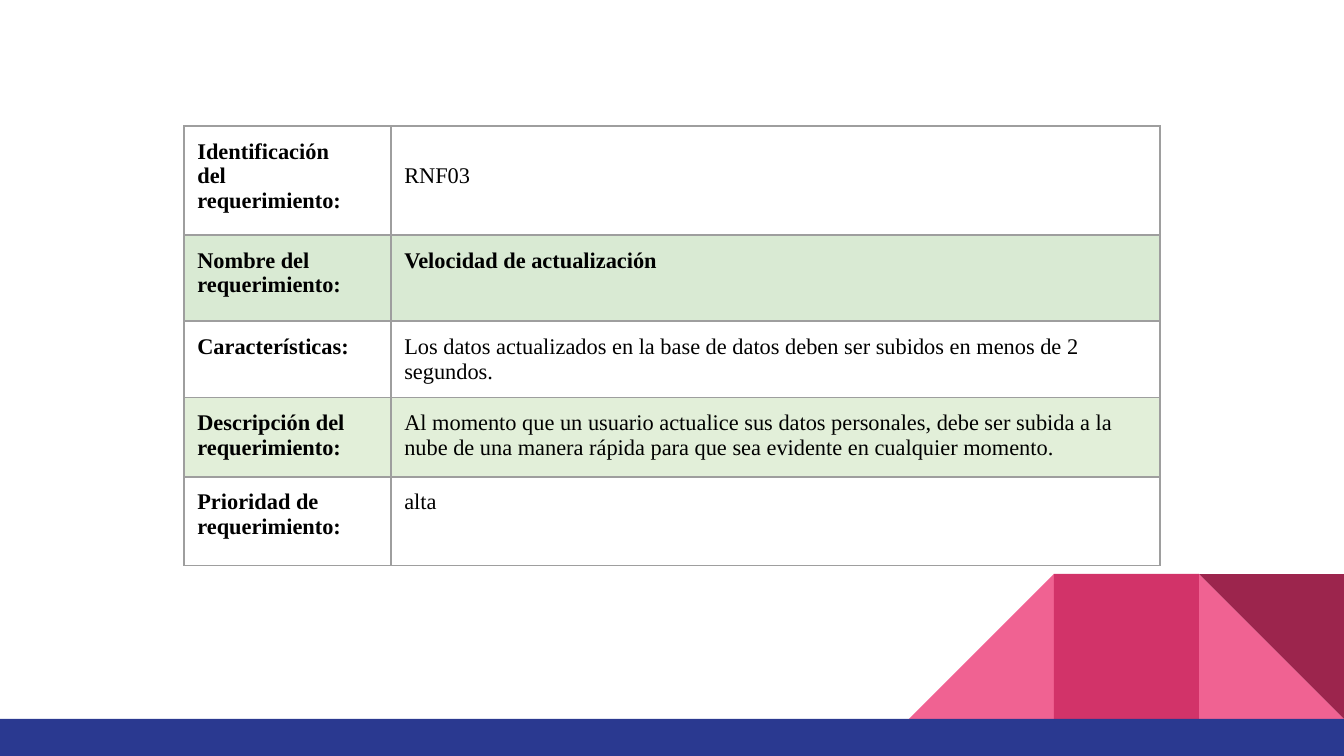
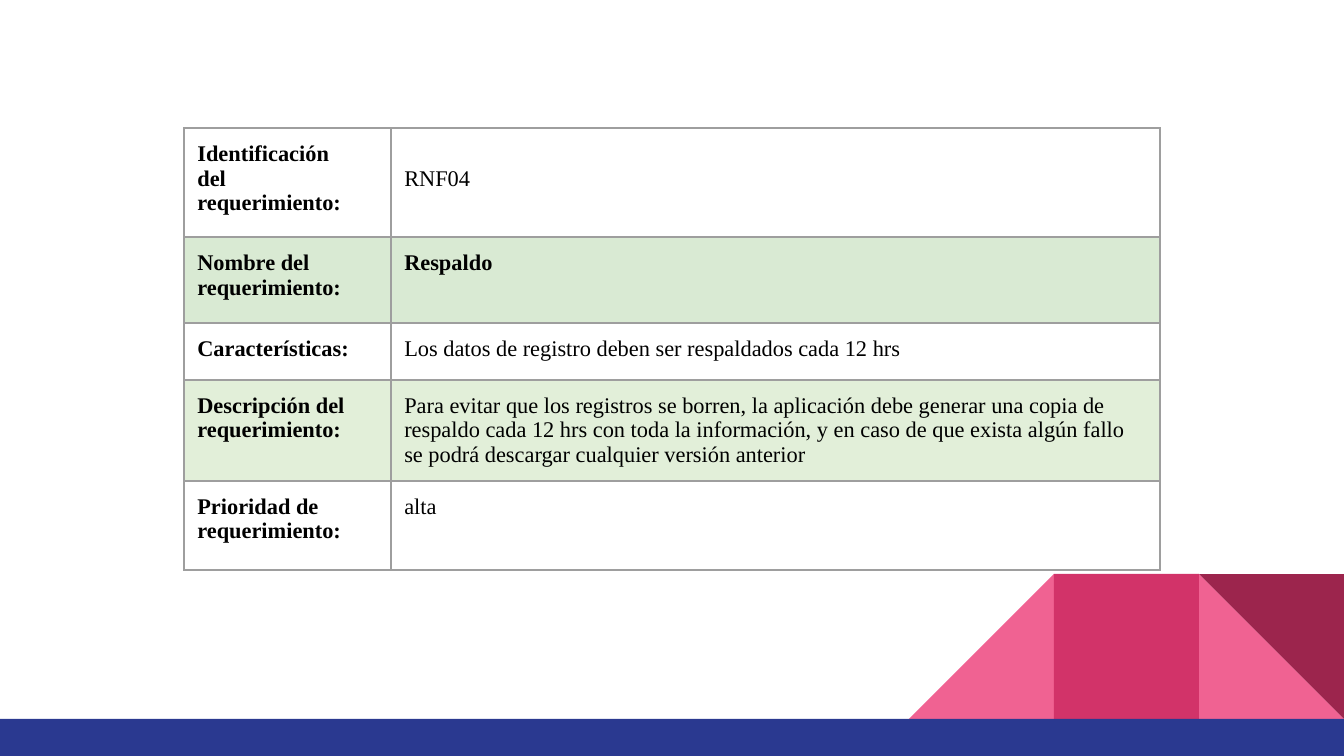
from dataclasses import dataclass

import pptx
import pptx.dml.color
import pptx.enum.shapes
import pptx.oxml
import pptx.oxml.ns
import pptx.presentation
import pptx.slide
import pptx.table
import pptx.util

Cm = pptx.util.Cm
Preset = pptx.enum.shapes.MSO_SHAPE

SLIDE_WIDTH, SLIDE_HEIGHT = 25.4, 14.29
BAND_HEIGHT = 0.7
TILE = 2.74
TABLE_LEFT = 3.48
COLUMN_WIDTHS = (3.91, 14.53)
PADDING = 0.25
IDENTIFIER_TOP = 0.72

PINK, CRIMSON, WINE, NAVY = "F06292", "D23369", "9C254D", "2A3990"
BLACK, WHITE, GREY = "000000", "FFFFFF", "9E9E9E"
NAME_GREEN, DESCRIPTION_GREEN = "D9EAD3", "E2EFD9"

CELL_FORMAT = {f"margin_{side}": Cm(PADDING) for side in ("left", "right", "top", "bottom")}
FONT_FORMAT = {"name": "Times New Roman", "size": pptx.util.Pt(12)}
TABLE_FORMAT = {"first_row": False, "horz_banding": False}


@dataclass(frozen=True)
class Tile:
    steps_from_right: int
    preset: Preset
    color: str
    rotation: float = 0
    mirrored: bool = False


@dataclass(frozen=True)
class Field:
    label: str
    height: float
    fill: str | None = None
    bold_value: bool = False
    value_top: float = PADDING


@dataclass(frozen=True)
class Requirement:
    top: float
    values: tuple[str, ...]


TILES = (
    Tile(1, Preset.RIGHT_TRIANGLE, PINK),
    Tile(3, Preset.RIGHT_TRIANGLE, PINK, mirrored=True),
    Tile(2, Preset.RECTANGLE, CRIMSON),
    Tile(1, Preset.RIGHT_TRIANGLE, WINE, rotation=180),
)

FIELDS = (
    Field("Identificación\ndel\nrequerimiento:", 2.06, value_top=IDENTIFIER_TOP),
    Field("Nombre del\nrequerimiento:", 1.63, NAME_GREEN, bold_value=True),
    Field("Características:", 1.07),
    Field("Descripción del\nrequerimiento:", 1.5, DESCRIPTION_GREEN),
    Field("Prioridad de\nrequerimiento:", 1.68, WHITE),
)

REQUIREMENTS = (
    Requirement(2.38, (
        "RNF03",
        "Velocidad de actualización",
        "Los datos actualizados en la base de datos deben ser subidos en menos de 2 segundos.",
        "Al momento que un usuario actualice sus datos personales, debe ser subida a la nube "
        "de una manera rápida para que sea evidente en cualquier momento.",
        "alta",
    )),
    Requirement(2.42, (
        "RNF04",
        "Respaldo",
        "Los datos de registro deben ser respaldados cada 12 hrs",
        "Para evitar que los registros se borren, la aplicación debe generar una copia de "
        "respaldo cada 12 hrs con toda la información, y en caso de que exista algún fallo "
        "se podrá descargar cualquier versión anterior",
        "alta",
    )),
)


def rgb(color: str) -> pptx.dml.color.RGBColor:
    return pptx.dml.color.RGBColor.from_string(color)


def apply_format(target: object, values: dict) -> None:
    for attribute, value in values.items():
        setattr(target, attribute, value)


def paint(fill, color: str | None) -> None:
    if color is None:
        fill.background()
    else:
        fill.solid()
        fill.fore_color.rgb = rgb(color)


def add_block(slide: pptx.slide.Slide, preset: Preset, left: float, top: float,
              width: float, height: float, color: str):
    block = slide.shapes.add_shape(preset, Cm(left), Cm(top), Cm(width), Cm(height))
    block.shadow.inherit = False
    paint(block.fill, color)
    block.line.fill.background()
    return block


def draw_footer(slide: pptx.slide.Slide) -> None:
    band_top = SLIDE_HEIGHT - BAND_HEIGHT
    for tile in TILES:
        block = add_block(slide, tile.preset, SLIDE_WIDTH - tile.steps_from_right * TILE,
                          band_top - TILE, TILE, TILE, tile.color)
        block.rotation = tile.rotation
        if tile.mirrored:
            block.element.spPr.find(pptx.oxml.ns.qn("a:xfrm")).set("flipH", "1")
    add_block(slide, Preset.RECTANGLE, 0, band_top, SLIDE_WIDTH, BAND_HEIGHT, NAVY)


def add_borders(cell: pptx.table._Cell) -> None:
    properties = cell._tc.get_or_add_tcPr()
    for index, edge in enumerate(("lnL", "lnR", "lnT", "lnB")):
        properties.insert(index, pptx.oxml.parse_xml(
            f'<a:{edge} {pptx.oxml.ns.nsdecls("a")} w="{pptx.util.Pt(1)}">'
            f'<a:solidFill><a:srgbClr val="{GREY}"/></a:solidFill></a:{edge}>'))


def fill_cell(cell: pptx.table._Cell, text: str, bold: bool, fill: str | None,
              top: float = PADDING) -> None:
    apply_format(cell, CELL_FORMAT | {"margin_top": Cm(top), "text": text})
    paint(cell.fill, fill)
    add_borders(cell)
    for paragraph in cell.text_frame.paragraphs:
        for run in paragraph.runs:
            apply_format(run.font, FONT_FORMAT | {"bold": bold})
            run.font.color.rgb = rgb(BLACK)


def draw_requirement(slide: pptx.slide.Slide, requirement: Requirement) -> None:
    sheet = slide.shapes.add_table(
        len(FIELDS), len(COLUMN_WIDTHS), Cm(TABLE_LEFT), Cm(requirement.top),
        Cm(sum(COLUMN_WIDTHS)), Cm(sum(field.height for field in FIELDS))).table
    apply_format(sheet, TABLE_FORMAT)
    for column, width in zip(sheet.columns, COLUMN_WIDTHS):
        column.width = Cm(width)
    for row, field, value in zip(sheet.rows, FIELDS, requirement.values):
        row.height = Cm(field.height)
        label_cell, value_cell = row.cells
        fill_cell(label_cell, field.label, True, field.fill)
        fill_cell(value_cell, value, field.bold_value, field.fill, field.value_top)


def main() -> None:
    deck = pptx.Presentation()
    apply_format(deck, {"slide_width": Cm(SLIDE_WIDTH), "slide_height": Cm(SLIDE_HEIGHT)})
    for requirement in REQUIREMENTS:
        slide = deck.slides.add_slide(deck.slide_layouts[6])
        draw_footer(slide)
        draw_requirement(slide, requirement)
    deck.save("out.pptx")


if __name__ == "__main__":
    main()
